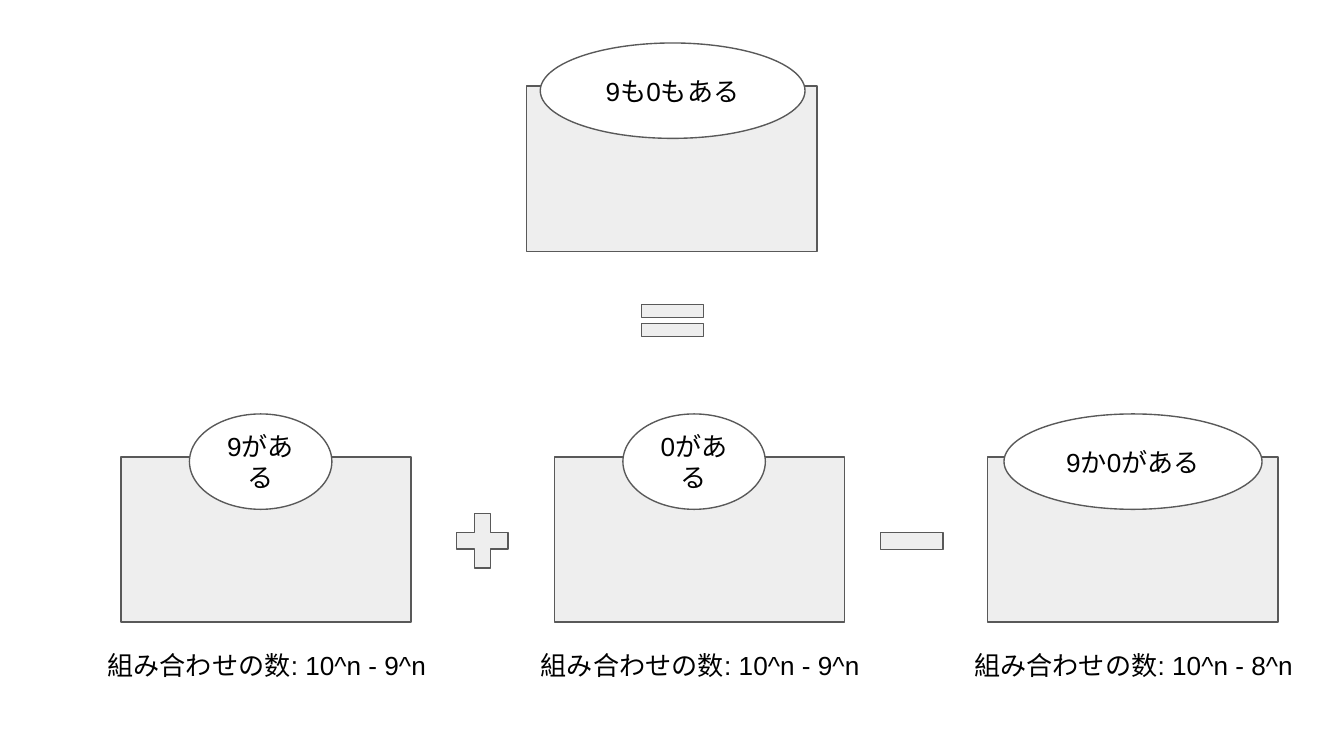
from dataclasses import dataclass

from pptx import Presentation
from pptx.dml.color import RGBColor
from pptx.enum.shapes import MSO_SHAPE
from pptx.enum.text import MSO_ANCHOR, PP_ALIGN
from pptx.util import Inches, Pt


@dataclass(frozen=True)
class Theme:
    """Colours and type of the diagram."""
    font: str = "Arial"
    text_size: float = 14
    line_width: float = 0.75
    text: RGBColor = RGBColor(0x00, 0x00, 0x00)
    line: RGBColor = RGBColor(0x59, 0x59, 0x59)
    panel: RGBColor = RGBColor(0xEE, 0xEE, 0xEE)
    label: RGBColor = RGBColor(0xFF, 0xFF, 0xFF)


THEME = Theme()
SLIDE_WIDTH = 10
SLIDE_HEIGHT = SLIDE_WIDTH * 9 / 16
BOX_WIDTH, BOX_HEIGHT = 2.16, 1.23
OVAL_HEIGHT, OVAL_RISE = 0.71, 0.32
TERM_TOP, FIRST_LEFT, LAST_LEFT = 3.4, 0.9, 7.35
TERMS = [
    ("9がある", 0.51, 1.06, "組み合わせの数: 10^n - 9^n"),
    ("0がある", 0.51, 1.06, "組み合わせの数: 10^n - 9^n"),
    ("9か0がある", 0.12, 1.92, "組み合わせの数: 10^n - 8^n"),
]
OPERATORS = [
    (MSO_SHAPE.MATH_EQUAL, 4.69, 2.18, 0.63, 0.41),
    (MSO_SHAPE.MATH_PLUS, 3.33, 3.75, 0.52, 0.55),
    (MSO_SHAPE.MATH_MINUS, 6.47, 3.75, 0.63, 0.55),
]


def add_outlined(slide, kind, left, top, width, height, fill):
    """Add a filled preset shape with the thin grey outline."""
    shape = slide.shapes.add_shape(
        kind, Inches(left), Inches(top), Inches(width), Inches(height))
    shape.shadow.inherit = False
    shape.fill.solid()
    shape.fill.fore_color.rgb = fill
    shape.line.color.rgb = THEME.line
    shape.line.width = Pt(THEME.line_width)
    return shape


def write(shape, text, alignment, anchor):
    """Write one wrapped paragraph into a shape."""
    frame = shape.text_frame
    frame.word_wrap = True
    frame.vertical_anchor = anchor
    frame.margin_left = frame.margin_right = Inches(0.1)
    frame.margin_top = frame.margin_bottom = Inches(0.1)
    paragraph = frame.paragraphs[0]
    paragraph.text = text
    paragraph.alignment = alignment
    paragraph.font.name = THEME.font
    paragraph.font.size = Pt(THEME.text_size)
    paragraph.font.color.rgb = THEME.text


def add_labelled_box(slide, left, top, label, oval_offset, oval_width):
    """Add a box with an oval label across its top edge."""
    add_outlined(slide, MSO_SHAPE.RECTANGLE, left, top,
                 BOX_WIDTH, BOX_HEIGHT, THEME.panel)
    oval = add_outlined(slide, MSO_SHAPE.OVAL, left + oval_offset,
                        top - OVAL_RISE, oval_width, OVAL_HEIGHT, THEME.label)
    write(oval, label, PP_ALIGN.CENTER, MSO_ANCHOR.MIDDLE)


def add_caption(slide, left, top, text):
    """Add the count shown under a box."""
    caption = slide.shapes.add_textbox(
        Inches(left), Inches(top), Inches(2.65), Inches(0.37))
    write(caption, text, PP_ALIGN.LEFT, MSO_ANCHOR.TOP)


def main():
    """Build the slide and save it."""
    presentation = Presentation()
    presentation.slide_width = Inches(SLIDE_WIDTH)
    presentation.slide_height = Inches(SLIDE_HEIGHT)
    slide = presentation.slides.add_slide(presentation.slide_layouts[6])

    add_labelled_box(slide, 3.92, 0.64, "9も0もある", 0.1, 1.97)
    pitch = (LAST_LEFT - FIRST_LEFT) / (len(TERMS) - 1)
    for index, (label, oval_offset, oval_width, count) in enumerate(TERMS):
        left = FIRST_LEFT + index * pitch
        add_labelled_box(slide, left, TERM_TOP, label, oval_offset, oval_width)
        add_caption(slide, left - 0.2, TERM_TOP + BOX_HEIGHT + 0.1, count)
    for kind, left, top, width, height in OPERATORS:
        add_outlined(slide, kind, left, top, width, height, THEME.panel)

    presentation.save("out.pptx")


if __name__ == "__main__":
    main()
